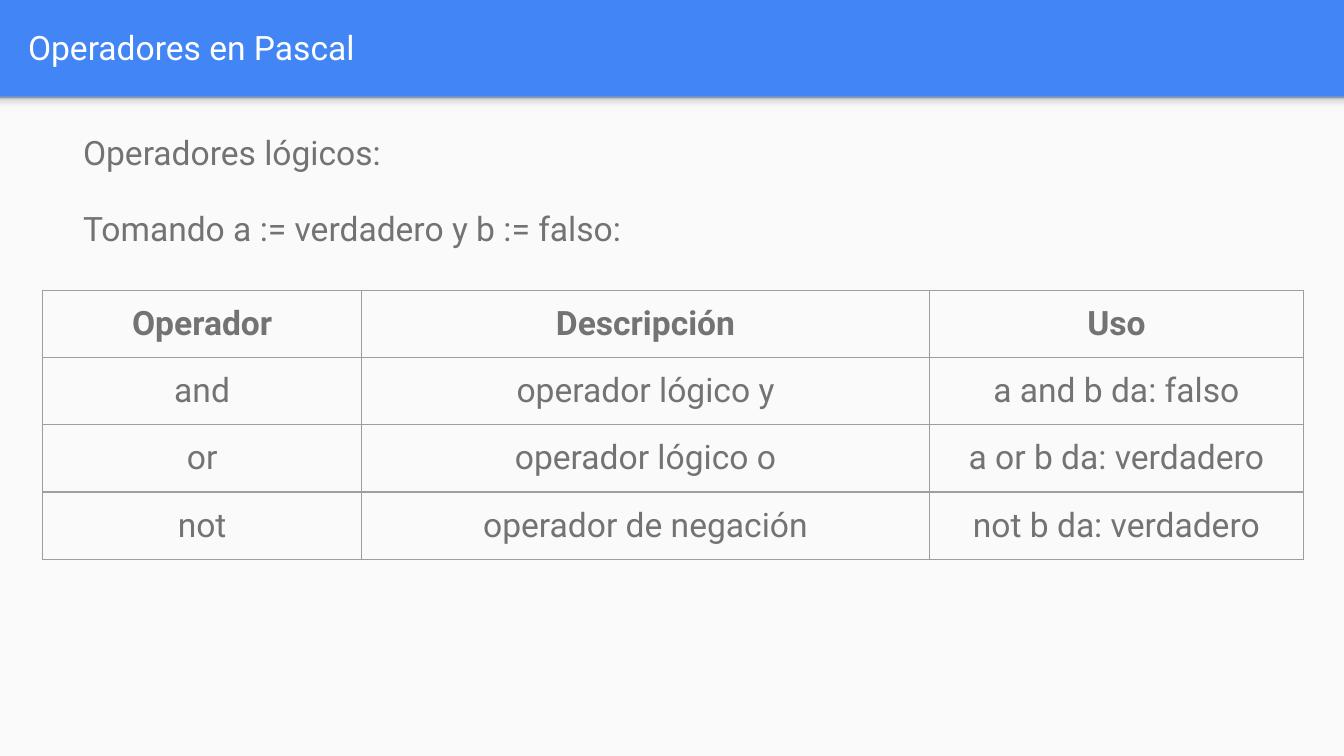
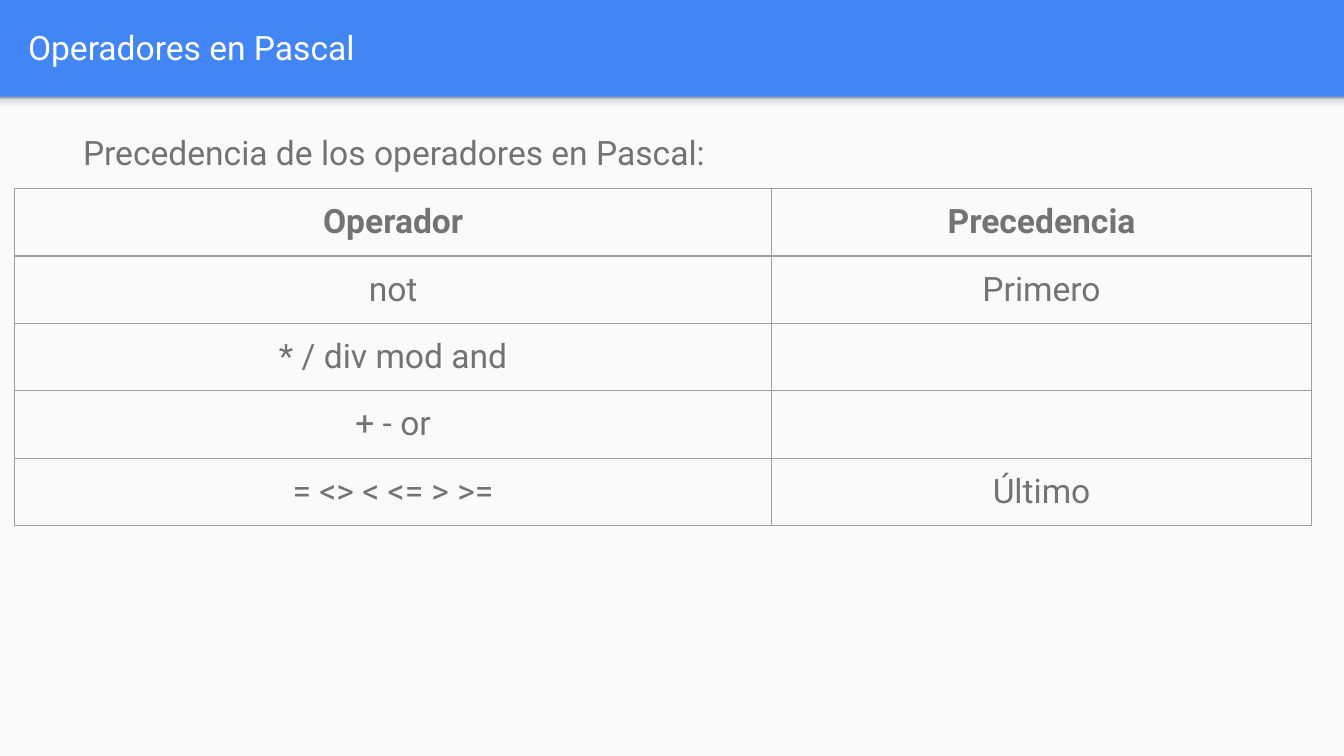
from lxml import etree
from pptx import Presentation
from pptx.dml.color import RGBColor
from pptx.enum.shapes import MSO_SHAPE
from pptx.enum.text import MSO_ANCHOR, MSO_AUTO_SIZE, PP_ALIGN
from pptx.oxml import parse_xml
from pptx.oxml.ns import nsdecls, qn
from pptx.util import Cm, Pt

RECTANGLE = MSO_SHAPE.RECTANGLE
MIDDLE, TOP = MSO_ANCHOR.MIDDLE, MSO_ANCHOR.TOP
LEFT, CENTER = PP_ALIGN.LEFT, PP_ALIGN.CENTER
NO_AUTOFIT = MSO_AUTO_SIZE.NONE

# Shared look
BLUE = RGBColor(0x42, 0x85, 0xF4)
PAPER = RGBColor(0xFA, 0xFA, 0xFA)
WHITE = RGBColor(0xFF, 0xFF, 0xFF)
GREY = RGBColor(0x73, 0x73, 0x73)
BORDER = RGBColor(0x9E, 0x9E, 0x9E)
SHADE_STOPS = [(0, "F9F9F9"), (36, "F9F9F9"), (80, "DEDEDE"), (100, "999999")]
FONT = "Roboto"
TEXT_SIZE = Pt(18)
BORDER_WIDTH = Pt(0.75)
PARAGRAPH_GAP = Pt(16)

SLIDE_WIDTH, SLIDE_HEIGHT = Cm(25.4), Cm(14.29)
HEADER_HEIGHT = Cm(1.83)
SHADE_HEIGHT = Cm(0.3)
INSET = Cm(0.25)
ROW_HEIGHT = Cm(1.27)

TITLE = "Operadores en Pascal"


def add_run(paragraph, text, color, bold=False):
    run = paragraph.add_run()
    run.text = text
    run.font.name = FONT
    run.font.size = TEXT_SIZE
    run.font.bold = bold
    run.font.color.rgb = color


def set_frame(frame, anchor):
    frame.word_wrap = True
    frame.auto_size = NO_AUTOFIT
    frame.vertical_anchor = anchor
    frame.margin_left = frame.margin_right = INSET
    frame.margin_top = frame.margin_bottom = INSET


def add_band(slide, height):
    band = slide.shapes.add_shape(RECTANGLE, 0, HEADER_HEIGHT, SLIDE_WIDTH, height)
    band.shadow.inherit = False
    band.line.fill.background()
    band.fill.solid()
    band.fill.fore_color.rgb = PAPER
    return band


def shade_upwards(band):
    """Replace the solid fill with a gradient that darkens towards the top."""
    stops = "".join(
        f'<a:gs pos="{position * 1000}"><a:srgbClr val="{color}"/></a:gs>'
        for position, color in SHADE_STOPS
    )
    gradient = parse_xml(
        f'<a:gradFill {nsdecls("a")}><a:gsLst>{stops}</a:gsLst>'
        '<a:lin ang="16200000" scaled="0"/></a:gradFill>'
    )
    properties = band.element.spPr
    properties.replace(properties.find(qn("a:solidFill")), gradient)


def add_operator_slide(prs):
    """Add a slide with the blue header, pale panel and common title."""
    slide = prs.slides.add_slide(prs.slide_layouts[5])
    slide.background.fill.solid()
    slide.background.fill.fore_color.rgb = BLUE

    # Panel and the soft shade under the header
    add_band(slide, SLIDE_HEIGHT - HEADER_HEIGHT)
    shade_upwards(add_band(slide, SHADE_HEIGHT))

    # Title
    title = slide.shapes.title
    title.left, title.top = Cm(0.28), Cm(0.05)
    title.width, title.height = Cm(24.5), Cm(1.68)
    set_frame(title.text_frame, MIDDLE)
    heading = title.text_frame.paragraphs[0]
    heading.alignment = LEFT
    add_run(heading, TITLE, WHITE)
    return slide


def add_intro(slide, lines):
    intro = slide.shapes.add_textbox(Cm(1.32), Cm(2.13), Cm(22.83), Cm(11.81))
    frame = intro.text_frame
    set_frame(frame, TOP)
    for index, line in enumerate(lines):
        paragraph = frame.add_paragraph() if index else frame.paragraphs[0]
        paragraph.line_spacing = 1.15
        paragraph.space_before = PARAGRAPH_GAP if index else Pt(0)
        add_run(paragraph, line, GREY)
    paragraph.space_after = PARAGRAPH_GAP


def add_borders(cell):
    properties = cell._tc.get_or_add_tcPr()
    for side in ("a:lnL", "a:lnR", "a:lnT", "a:lnB"):
        line = etree.SubElement(properties, qn(side), w=str(BORDER_WIDTH))
        fill = etree.SubElement(line, qn("a:solidFill"))
        etree.SubElement(fill, qn("a:srgbClr"), val=str(BORDER))


def format_cell(cell, text, bold):
    add_borders(cell)
    cell.fill.background()
    cell.vertical_anchor = MIDDLE
    cell.margin_left = cell.margin_right = INSET
    cell.margin_top = cell.margin_bottom = INSET
    paragraph = cell.text_frame.paragraphs[0]
    paragraph.alignment = CENTER
    if text:
        add_run(paragraph, text, GREY, bold)


def add_operator_table(slide, left, top, widths, rows):
    table = slide.shapes.add_table(
        len(rows), len(widths), left, top, sum(widths), ROW_HEIGHT * len(rows)
    ).table
    table.first_row = table.horz_banding = False
    for column, width in zip(table.columns, widths):
        column.width = width
    for row_index, texts in enumerate(rows):
        table.rows[row_index].height = ROW_HEIGHT
        for column_index, text in enumerate(texts):
            format_cell(table.cell(row_index, column_index), text, row_index == 0)


def main():
    prs = Presentation()
    prs.slide_width, prs.slide_height = SLIDE_WIDTH, SLIDE_HEIGHT

    # Logical operators
    logical = add_operator_slide(prs)
    add_intro(logical, ["Operadores lógicos:", "Tomando a := verdadero y b := falso:"])
    add_operator_table(
        logical, Cm(0.81), Cm(5.49), [Cm(6.02), Cm(10.74), Cm(7.06)],
        [
            ("Operador", "Descripción", "Uso"),
            ("and", "operador lógico y", "a and b da: falso"),
            ("or", "operador lógico o", "a or b da: verdadero"),
            ("not", "operador de negación", "not b da: verdadero"),
        ],
    )

    # Operator precedence
    precedence = add_operator_slide(prs)
    add_intro(precedence, ["Precedencia de los operadores en Pascal:"])
    add_operator_table(
        precedence, Cm(0.28), Cm(3.57), [Cm(14.3), Cm(10.21)],
        [
            ("Operador", "Precedencia"),
            ("not", "Primero"),
            ("* / div mod and", ""),
            ("+ - or", ""),
            ("= <> < <= > >=", "Último"),
        ],
    )

    prs.save("out.pptx")


if __name__ == "__main__":
    main()
